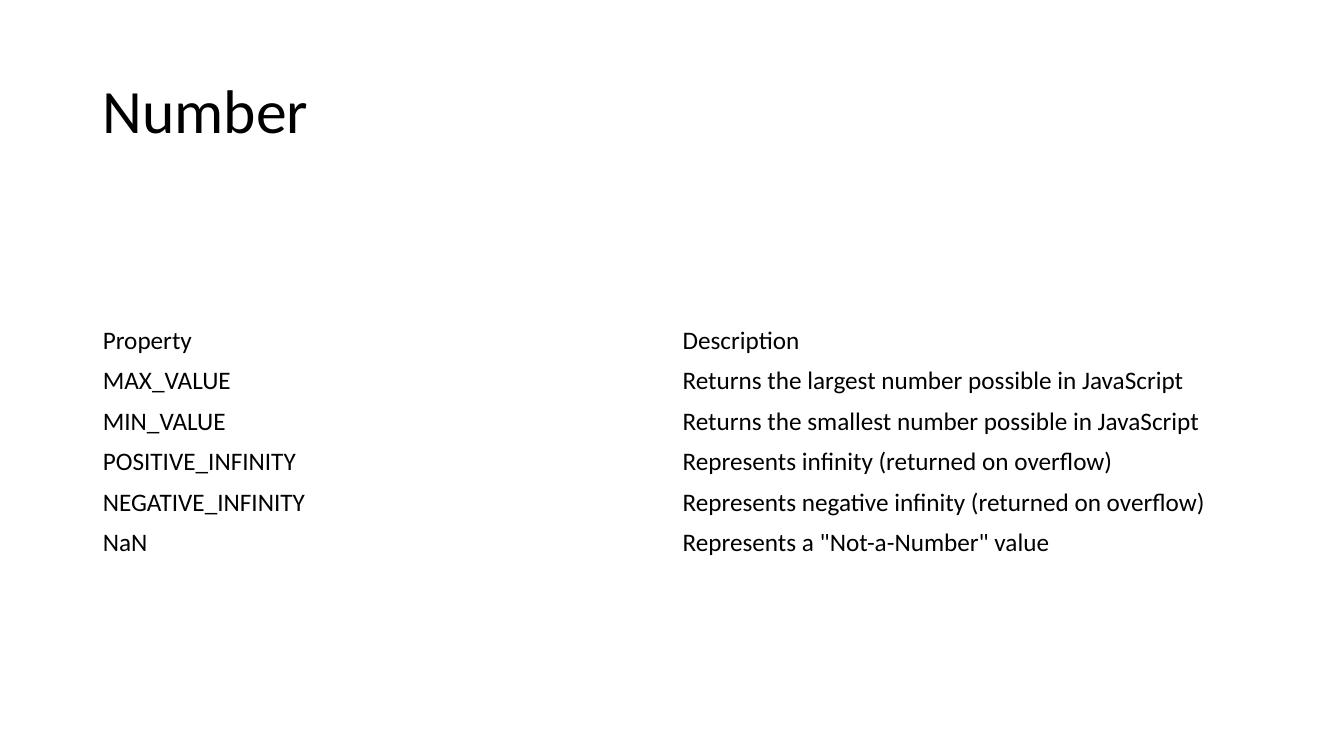
from pptx import Presentation
from pptx.dml.color import RGBColor
from pptx.enum.text import MSO_ANCHOR
from pptx.util import Inches, Pt

MARGIN, CONTENT_WIDTH = 0.92, 11.5
TABLE_TOP, ROW_HEIGHT = 3.18, 0.4
ROWS = [
    ("Property", "Description"),
    ("MAX_VALUE", "Returns the largest number possible in JavaScript"),
    ("MIN_VALUE", "Returns the smallest number possible in JavaScript"),
    ("POSITIVE_INFINITY", "Represents infinity (returned on overflow)"),
    ("NEGATIVE_INFINITY", "Represents negative infinity (returned on overflow)"),
    ("NaN", 'Represents a "Not-a-Number" value'),
]


def color(value):
    return RGBColor.from_string(value)


def add_text(paragraph, text, size):
    run = paragraph.add_run()
    run.text = text
    run.font.name = "Calibri"
    run.font.size = Pt(size)
    run.font.color.rgb = color("000000")


presentation = Presentation()
presentation.slide_width = Inches(13.33)
presentation.slide_height = Inches(7.5)
slide = presentation.slides.add_slide(presentation.slide_layouts[6])

title = slide.shapes.add_textbox(
    Inches(MARGIN), Inches(0.4), Inches(CONTENT_WIDTH), Inches(1.45)
)
title.text_frame.word_wrap = True
title.text_frame.vertical_anchor = MSO_ANCHOR.MIDDLE
title_paragraph = title.text_frame.paragraphs[0]
title_paragraph.line_spacing = 0.9
add_text(title_paragraph, "Number", 44)

table = slide.shapes.add_table(
    len(ROWS), len(ROWS[0]),
    Inches(MARGIN), Inches(TABLE_TOP),
    Inches(CONTENT_WIDTH), Inches(ROW_HEIGHT * len(ROWS)),
).table
table.first_row = False
table.horz_banding = False
for row_index, row in enumerate(ROWS):
    for column_index, text in enumerate(row):
        cell = table.cell(row_index, column_index)
        cell.fill.background()
        cell.vertical_anchor = MSO_ANCHOR.MIDDLE
        add_text(cell.text_frame.paragraphs[0], text, 18)

presentation.save("out.pptx")
